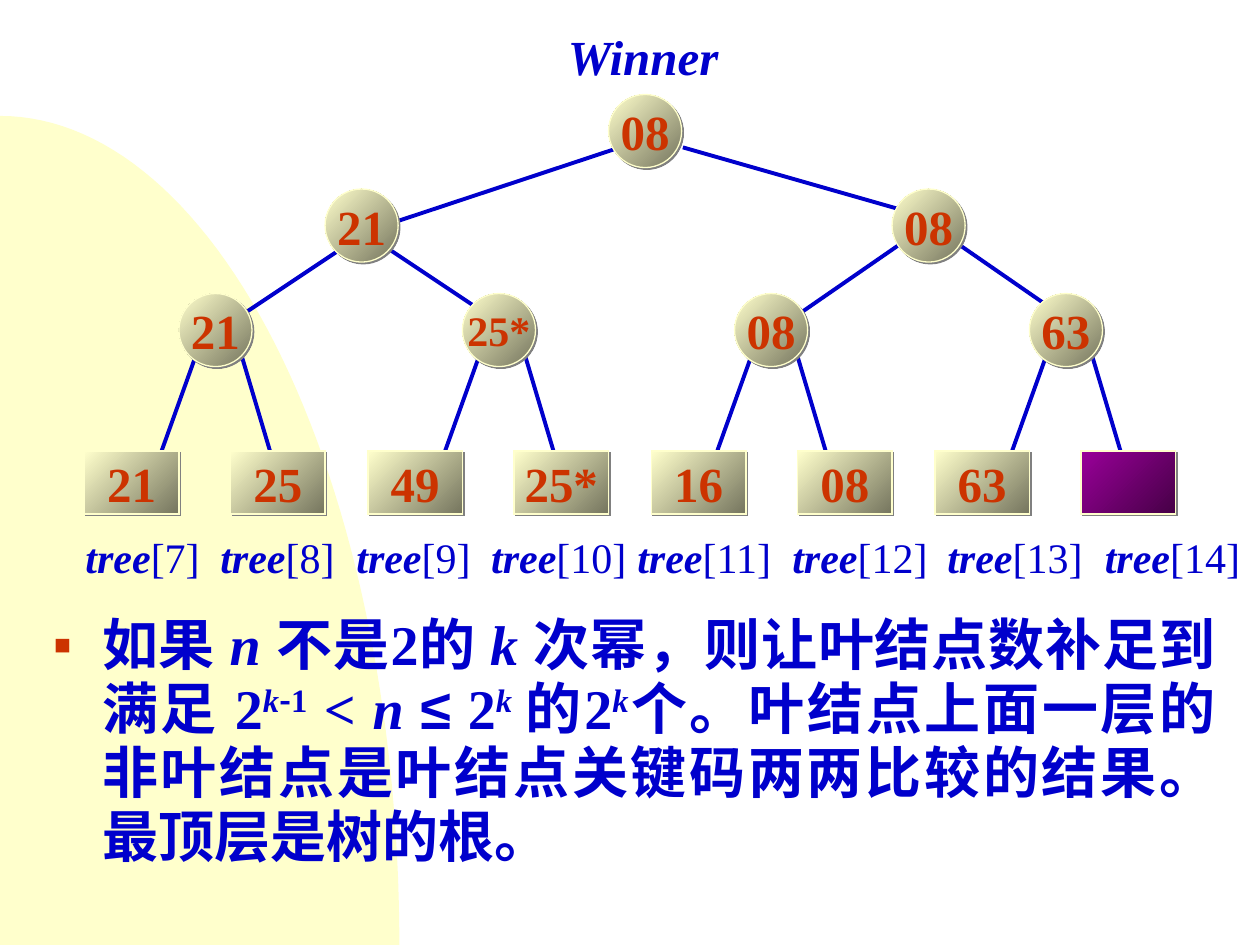
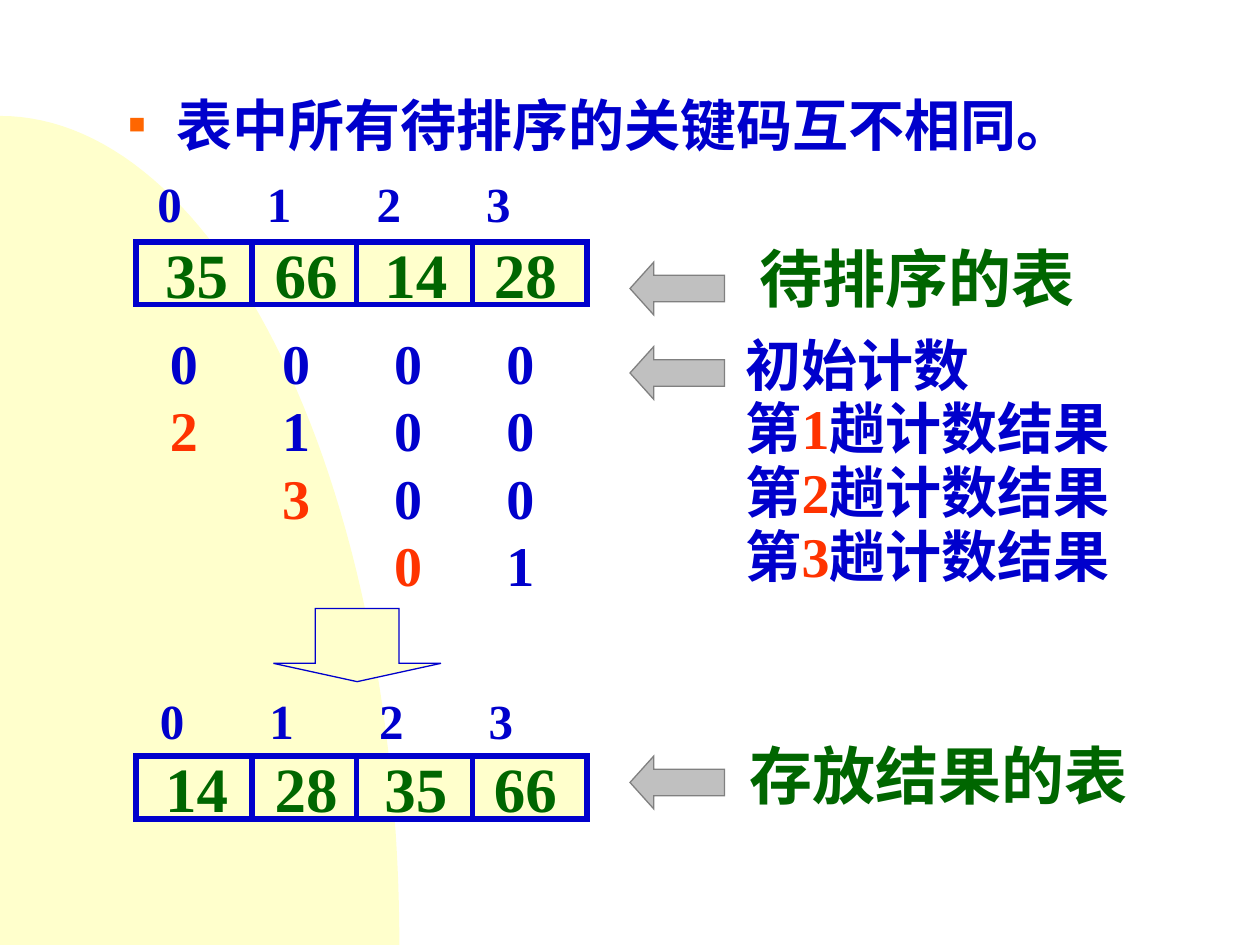
"""Build two slides on sorting: a winner tree and a counting sort."""
from dataclasses import dataclass
from math import cos, pi, sin

from lxml import etree
from pptx import Presentation
from pptx.dml.color import RGBColor
from pptx.enum.shapes import MSO_CONNECTOR, MSO_SHAPE
from pptx.enum.text import MSO_ANCHOR, MSO_AUTO_SIZE, PP_ALIGN
from pptx.oxml.ns import qn
from pptx.util import Inches, Pt

STRAIGHT = MSO_CONNECTOR.STRAIGHT
OVAL, RECTANGLE = MSO_SHAPE.OVAL, MSO_SHAPE.RECTANGLE
LEFT_ARROW, DOWN_ARROW = MSO_SHAPE.LEFT_ARROW, MSO_SHAPE.DOWN_ARROW
MIDDLE, NO_FIT = MSO_ANCHOR.MIDDLE, MSO_AUTO_SIZE.NONE
LEFT, CENTER, JUSTIFY = PP_ALIGN.LEFT, PP_ALIGN.CENTER, PP_ALIGN.JUSTIFY


@dataclass(frozen=True)
class Theme:
    """Colours, fonts and type sizes of the deck."""
    blue: str = "0000CC"
    green: str = "006600"
    rust: str = "CC3300"
    red: str = "FF3300"
    orange: str = "FF6600"
    cream: str = "FFFFCC"
    olive: str = "75755E"
    purple: str = "990099"
    plum: str = "460046"
    gray: str = "808080"
    silver: str = "C0C0C0"
    latin: str = "Times New Roman"
    asian: str = "Noto Sans CJK SC"
    symbol: str = "Arial"
    label: int = 24
    node: int = 28
    text: int = 32
    heading: int = 36


THEME = Theme()
STYLES = {
    "plain": {},
    "italic": {"italic": True},
    "light": {"bold": False},
    "power": {"italic": True, "raised": True},
    "raised": {"raised": True},
    "minus": {"raised": True, "name": THEME.asian},
    "symbol": {"name": THEME.symbol},
    "red": {"color": THEME.red},
}

ROOT_EDGES = [
    ((5.42, 1.17), (7.17, 1.67)), ((3.17, 1.75), (4.92, 1.17)),
    ((7.17, 1.92), (6.33, 2.5)), ((3, 1.92), (3.75, 2.42)),
    ((7.58, 1.92), (8.42, 2.5)), ((2.67, 2), (1.92, 2.5)),
]
MATCHES = [
    (4.83, 0.75, "08"), (2.58, 1.5, "21"), (7.08, 1.5, "08"),
    (1.42, 2.33, "21"), (3.67, 2.33, "25*"), (5.83, 2.33, "08"), (8.17, 2.33, "63"),
]
LEAVES = [
    (0.67, "21"), (1.83, "25"), (2.92, "49"), (4.08, "25*"),
    (5.17, "16"), (6.33, "08"), (7.42, "63"), (8.58, ""),
]
FIRST_LEAF = 7
LABEL_STOPS = [1.07, 2.15, 3.22, 4.38, 5.61, 6.84, 8.09]
TREE_RULE = [
    ("如果 ", "plain"), ("n ", "italic"), ("不是2的 ", "plain"), ("k ", "italic"),
    ("次幂，则让叶结点数补足到满足 2", "plain"), ("k", "power"), ("-", "minus"),
    ("1", "raised"), (" < ", "plain"), ("n ", "italic"), ("≤", "symbol"),
    (" 2", "plain"), ("k ", "power"), ("的2", "plain"), ("k", "power"),
    ("个。叶结点上面一层的非叶结点是叶结点关键码两两比较的结果。最顶层是树的根。", "plain"),
]

COUNT_RULE = [("表中所有待排序的关键码互不相同。", "plain")]
INDEXES = ["0", "1", "2", "3"]
TABLES = [
    (1.92, (1.15, 1.33), ["35", "66", "14", "28"]),
    (6, (1.17, 5.43), ["14", "28", "35", "66"]),
]
SEPARATORS = [2, 2.83, 3.75]
COUNTS = [
    [("0\t0\t0\t0", "plain")],
    [("2", "red"), ("\t1\t0\t0", "plain")],
    [("\t3", "red"), ("\t0\t0", "plain")],
    [("\t\t0", "red"), ("\t1", "plain")],
]
PASSES = [[("初始计数", "plain")]] + [
    [("第", "plain"), (number, "red"), ("趟计数结果", "plain")] for number in "123"
]
TABLE_NAMES = [((5.93, 1.85), "待排序的表"), ((5.85, 5.8), "存放结果的表")]
POINTER_TOPS = [2.08, 2.75, 6]


def rgb(code):
    """Turn a hex code into a colour."""
    return RGBColor.from_string(code)


def lengths(*values):
    """Convert inches to slide units."""
    return [Inches(value) for value in values]


def sub(parent, tag, **attributes):
    """Append a drawing element."""
    return etree.SubElement(parent, qn(tag), attributes)


def style_span(span, size, color=THEME.blue, bold=True, italic=False, raised=False,
               name=THEME.latin):
    """Format one run."""
    font = span.font
    font.size, font.bold, font.italic = Pt(size), bold, italic
    font.color.rgb = rgb(color)
    font.name = name
    properties = font._element
    sub(properties, "a:ea", typeface=THEME.asian)
    if raised:
        properties.set("baseline", "30000")


def write(frame, paragraphs, size, color=THEME.blue, align=LEFT, spacing=None, stops=()):
    """Fill a text frame with paragraphs of (text, style) spans."""
    for number, spans in enumerate(paragraphs):
        para = frame.add_paragraph() if number else frame.paragraphs[0]
        para.alignment, para.space_before = align, Pt(0)
        if spacing:
            para.line_spacing = spacing
        if stops:
            tabs = sub(para._p.get_or_add_pPr(), "a:tabLst")
            for stop in stops:
                sub(tabs, "a:tab", pos=str(Inches(stop)), algn="l")
        for text, style in spans:
            span = para.add_run()
            span.text = text
            style_span(span, size, **{"color": color, **STYLES[style]})


def add_text(page, place, paragraphs, size, **options):
    """Add a text box."""
    box = page.shapes.add_textbox(*lengths(*place))
    box.text_frame.word_wrap = True
    write(box.text_frame, paragraphs, size, **options)


def add_rule(page, place, spans, bullet_color, **options):
    """Put a bulleted statement in the body placeholder."""
    body = page.placeholders[1]
    body.left, body.top, body.width, body.height = lengths(*place)
    frame = body.text_frame
    frame.auto_size = NO_FIT
    properties = frame.paragraphs[0]._p.get_or_add_pPr()
    properties.set("marL", str(Inches(0.38)))
    properties.set("indent", str(Inches(-0.38)))
    sub(sub(properties, "a:buClr"), "a:srgbClr", val=bullet_color)
    sub(properties, "a:buSzPct", val="50000")
    sub(properties, "a:buFont", typeface=THEME.symbol)
    sub(properties, "a:buChar", char="■")
    write(frame, [spans], THEME.text, **options)


def add_line(page, start, end, width):
    """Draw a blue straight line."""
    line = page.shapes.add_connector(STRAIGHT, *lengths(*start, *end))
    line.line.color.rgb, line.line.width = rgb(THEME.blue), Pt(width)
    sub(line._element.spPr, "a:effectLst")


def add_solid(page, kind, place, fill, line, width=0.75, adjustments=()):
    """Draw a flat preset shape with sharp corners."""
    shape = page.shapes.add_shape(kind, *lengths(*place))
    shape.shadow.inherit = False
    shape.fill.solid()
    shape.fill.fore_color.rgb = rgb(fill)
    shape.line.color.rgb, shape.line.width = rgb(line), Pt(width)
    sub(shape._element.spPr.find(qn("a:ln")), "a:miter", lim="800000")
    for number, value in enumerate(adjustments):
        shape.adjustments[number] = value
    return shape


def add_node(page, kind, place, key, size=THEME.node):
    """Draw a shaded tree node; a node without a key is purple."""
    shape = add_solid(page, kind, place, THEME.cream, THEME.cream)
    shape.fill.gradient()
    shape.fill.gradient_angle = 135
    shades = (THEME.olive, THEME.cream) if key else (THEME.plum, THEME.purple)
    for stop, shade in zip(shape.fill.gradient_stops, shades):
        stop.color.rgb = rgb(shade)
    effects = shape._element.spPr.find(qn("a:effectLst"))
    shadow = sub(effects, "a:outerShdw", dist=str(Pt(1.4)), dir="2700000", algn="ctr")
    sub(shadow, "a:srgbClr", val=THEME.gray)
    if key:
        frame = shape.text_frame
        frame.word_wrap, frame.vertical_anchor = False, MIDDLE
        write(frame, [[(key, "plain")]], size, color=THEME.rust, align=CENTER)


def add_backdrop(deck, page):
    """Draw the cream quarter ellipse and move it to the master."""
    steps = 60
    angles = [pi / 2 * step / steps for step in range(steps + 1)]
    arc = [lengths(3.17 * sin(angle), 7.5 - 6.58 * cos(angle)) for angle in angles]
    builder = page.shapes.build_freeform(*arc[0])
    builder.add_line_segments(arc[1:] + [lengths(0, 7.5)])
    backdrop = builder.convert_to_shape()
    backdrop.shadow.inherit = False
    backdrop.fill.solid()
    backdrop.fill.fore_color.rgb = rgb(THEME.cream)
    backdrop.line.fill.background()
    deck.slide_master.shapes.element.insert(2, backdrop._element)


def add_page(deck):
    """Add a slide with only a body placeholder."""
    page = deck.slides.add_slide(deck.slide_layouts[1])
    title = page.shapes.title._element
    title.getparent().remove(title)
    return page


def build_tree(page):
    """Lay out the winner tree."""
    parents = [(left, top) for left, top, key in MATCHES[3:]]
    leaf_edges = [
        ((left + begin, top + drop), (left + end, 3.67))
        for left, top in parents
        for begin, drop, end in ((0.16, 0.42, -0.17), (0.5, 0.5, 0.75))
    ]
    for start, end in ROOT_EDGES + leaf_edges:
        add_line(page, start, end, 2.25)
    add_rule(page, (0.33, 4.83, 9.42, 2.17), TREE_RULE, THEME.rust,
             align=JUSTIFY, spacing=0.95)
    add_text(page, (4.41, 0.16, 1.5, 0.57), [[("Winner", "italic")]], THEME.node)
    for left, top, key in MATCHES:
        size = THEME.label if len(key) > 2 else THEME.node
        add_node(page, OVAL, (left, top, 0.58, 0.58), key, size)
    labels = []
    for number, (left, key) in enumerate(LEAVES):
        add_node(page, RECTANGLE, (left, 3.58, 0.75, 0.5), key)
        gap = "\t" if number else ""
        labels += [(gap + "tree", "italic"), (f"[{FIRST_LEAF + number}]", "light")]
    add_text(page, (0.58, 4.17, 9.42, 0.5), [labels], THEME.label, stops=LABEL_STOPS)


def build_count(page):
    """Lay out the counting sort."""
    add_rule(page, (0.92, 0.67, 8.5, 4.5), COUNT_RULE, THEME.orange)
    column_stops = [0.87 * column for column in (1, 2, 3)]
    for top, index_place, keys in TABLES:
        table = add_solid(page, RECTANGLE, (1.08, top, 3.58, 0.5), THEME.cream, THEME.blue, 3)
        frame = table.text_frame
        frame.vertical_anchor, frame.margin_left = MIDDLE, Inches(0.23)
        write(frame, [[("\t".join(keys), "plain")]], THEME.heading, color=THEME.green,
              stops=column_stops)
        for left in SEPARATORS:
            add_line(page, (left, top), (left, top + 0.5), 3)
        add_text(page, (*index_place, 3.4, 0.57), [[("\t".join(INDEXES), "plain")]],
                 THEME.node, stops=column_stops)
    add_text(page, (1.25, 2.56, 3.4, 2.24), COUNTS, THEME.text,
             stops=[0.89 * column for column in (1, 2, 3)])
    add_solid(page, DOWN_ARROW, (2.17, 4.83, 1.33, 0.58), THEME.cream, THEME.blue,
              adjustments=(0.5, 0.25))
    for top in POINTER_TOPS:
        add_solid(page, LEFT_ARROW, (5, top, 0.75, 0.42), THEME.silver, THEME.gray,
                  adjustments=(0.5, 0.45))
    for place, name in TABLE_NAMES:
        add_text(page, (*place, 3.2, 0.7), [[(name, "plain")]], THEME.heading,
                 color=THEME.green)
    add_text(page, (5.82, 2.61, 3.4, 2.13), PASSES, THEME.text, spacing=0.95)


def main():
    """Build and save the deck."""
    deck = Presentation()
    deck.slide_width, deck.slide_height = lengths(10, 7.5)
    tree_page, count_page = add_page(deck), add_page(deck)
    add_backdrop(deck, tree_page)
    build_tree(tree_page)
    build_count(count_page)
    deck.save("out.pptx")


if __name__ == "__main__":
    main()
